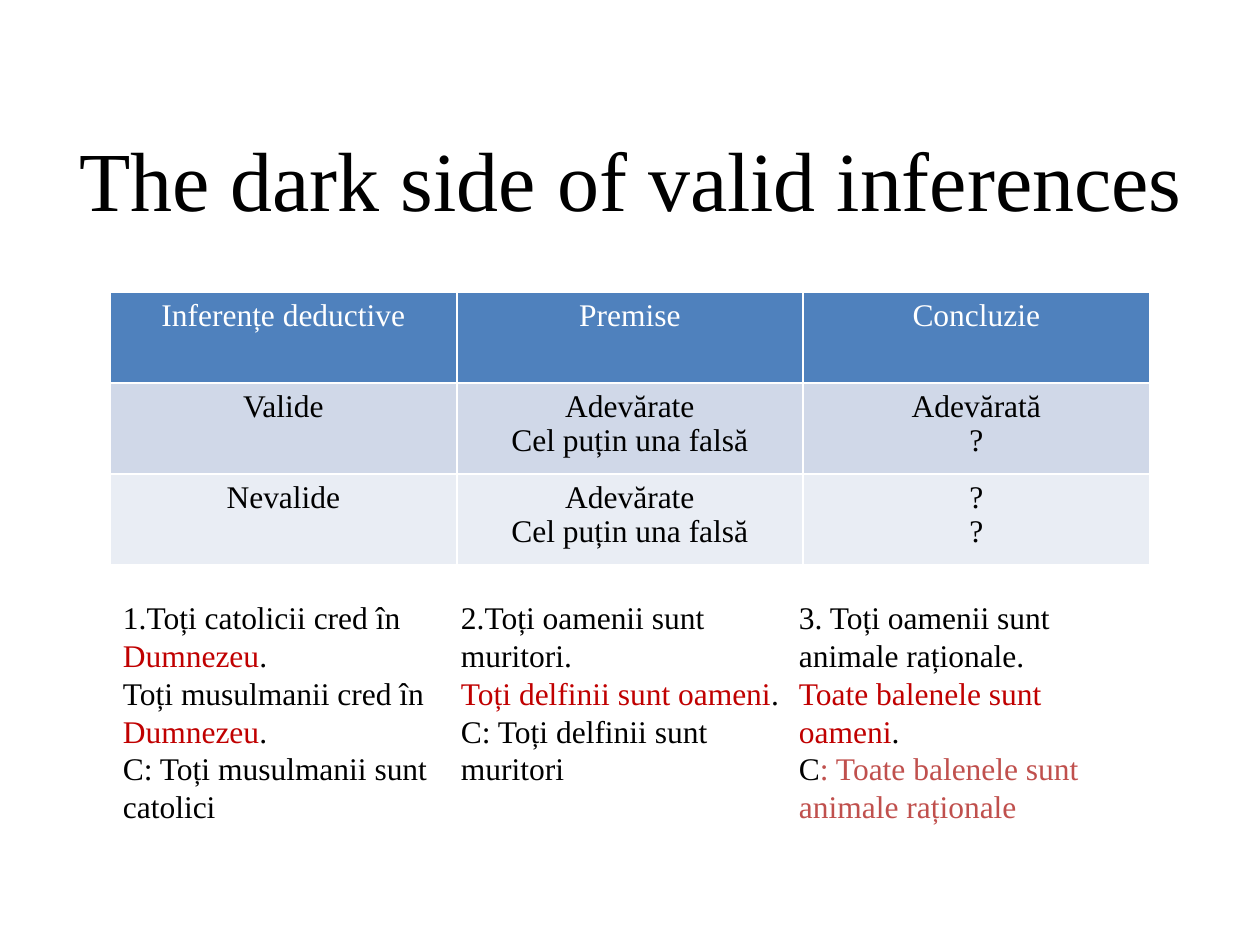
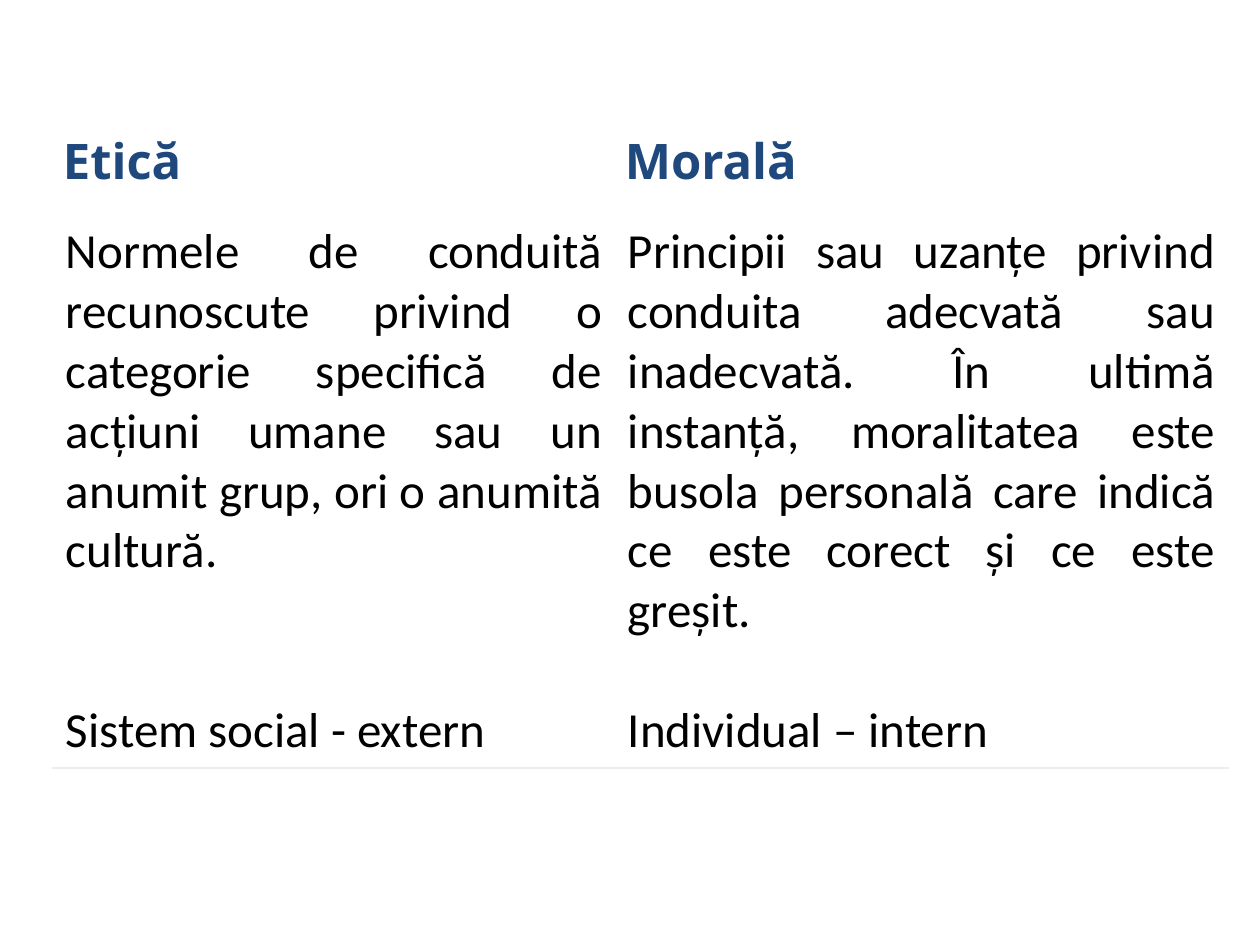
from lxml.etree import SubElement
from pptx import Presentation
from pptx.dml.color import RGBColor
from pptx.enum.text import MSO_ANCHOR, MSO_AUTO_SIZE, PP_ALIGN
from pptx.oxml.ns import qn
from pptx.util import Emu, Pt

# Shared scale, fonts and colours
EMU_PER_PX = 914400 // 126
SERIF, SANS, HEADING = "Times New Roman", "Calibri", "Noto Sans"
BLACK = RGBColor(0x00, 0x00, 0x00)
WHITE = RGBColor(0xFF, 0xFF, 0xFF)
BLUE = RGBColor(0x4F, 0x81, 0xBD)
LIGHT_BLUE = RGBColor(0xD0, 0xD8, 0xE8)
PALE_BLUE = RGBColor(0xE9, 0xED, 0xF4)
NAVY = RGBColor(0x1F, 0x49, 0x7D)
RED = RGBColor(0xC0, 0x00, 0x00)
SOFT_RED = RGBColor(0xC0, 0x50, 0x4D)
GREY = RGBColor(0xED, 0xED, 0xED)

# Slide 1 content
TRUTH_ROWS = [
    ("Inferențe deductive", "Premise", "Concluzie"),
    ("Valide", "Adevărate\nCel puțin una falsă", "Adevărată\n?"),
    ("Nevalide", "Adevărate\nCel puțin una falsă", "?\n?"),
]
TRUTH_COLOURS = [(BLUE, WHITE), (LIGHT_BLUE, BLACK), (PALE_BLUE, BLACK)]
SYLLOGISMS = [
    [
        [("1.Toți catolicii cred în ", BLACK), ("Dumnezeu", RED), (".", BLACK)],
        [("Toți musulmanii cred în ", BLACK), ("Dumnezeu", RED), (".", BLACK)],
        [("C: Toți musulmanii sunt catolici", BLACK)],
    ],
    [
        [("2.Toți oamenii sunt muritori.", BLACK)],
        [("Toți delfinii sunt oameni", RED), (".", BLACK)],
        [("C: Toți delfinii sunt muritori", BLACK)],
    ],
    [
        [("3. Toți oamenii sunt animale raționale.", BLACK)],
        [("Toate balenele sunt oameni", RED), (".", BLACK)],
        [("C", BLACK), (": Toate balenele sunt animale raționale", SOFT_RED)],
    ],
]

# Slide 2 content: heading, definition, summary, lines skipped before the summary
CONCEPTS = [
    ("Etică",
     "Normele de conduită recunoscute privind o categorie specifică de acțiuni "
     "umane sau un anumit grup, ori o anumită cultură.",
     "Sistem social - extern", 2),
    ("Morală",
     "Principii sau uzanțe privind conduita adecvată sau inadecvată. În ultimă "
     "instanță, moralitatea este busola personală care indică ce este corect și "
     "ce este greșit.",
     "Individual – intern", 1),
]
CONCEPT_LINE = 34.2


def px(length):
    return Emu(length * EMU_PER_PX)


def style_run(run, font, size, colour, bold=False):
    run.font.name = font
    run.font.size = Pt(size)
    run.font.bold = bold
    run.font.color.rgb = colour


def add_title(slide, text):
    title = slide.shapes.title
    title.left, title.top, title.width, title.height = map(px, (19, 67, 1224, 222))
    frame = title.text_frame
    frame.text = text
    frame.auto_size = MSO_AUTO_SIZE.NONE
    frame.vertical_anchor = MSO_ANCHOR.MIDDLE
    frame.paragraphs[0].alignment = PP_ALIGN.CENTER
    style_run(frame.paragraphs[0].runs[0], SERIF, 48, BLACK)


def add_grid(slide, left, top, widths, heights):
    frame = slide.shapes.add_table(len(heights), len(widths), px(left), px(top),
                                   px(sum(widths)), px(sum(heights)))
    grid = frame.table
    grid.first_row = grid.horz_banding = False
    for column, width in zip(grid.columns, widths):
        column.width = px(width)
    for row, height in zip(grid.rows, heights):
        row.height = px(height)
    return grid


def set_borders(cell, sides, colour, points):
    """Draw the given sides of a cell; call before setting its fill."""
    properties = cell._tc.get_or_add_tcPr()
    for side in sides:
        line = SubElement(properties, qn(f"a:ln{side}"), w=str(Pt(points)))
        fill = SubElement(line, qn("a:solidFill"))
        SubElement(fill, qn("a:srgbClr"), val=str(colour))


def fill_cell(cell, text, margins, font, size, colour, align, bold=False, fill=None):
    cell.margin_left = cell.margin_right = px(margins[0])
    cell.margin_top, cell.margin_bottom = px(margins[1]), px(margins[2])
    if fill is None:
        cell.fill.background()
    else:
        cell.fill.solid()
        cell.fill.fore_color.rgb = fill
    cell.text_frame.text = text
    for paragraph in cell.text_frame.paragraphs:
        paragraph.alignment = align
        for run in paragraph.runs:
            style_run(run, font, size, colour, bold)


def add_syllogism(slide, left, statements):
    box = slide.shapes.add_textbox(px(left), px(592), px(338), px(240))
    frame = box.text_frame
    frame.word_wrap = True
    frame.margin_left = frame.margin_right = 0
    for index, statement in enumerate(statements):
        paragraph = frame.add_paragraph() if index else frame.paragraphs[0]
        for text, colour in statement:
            run = paragraph.add_run()
            run.text = text
            style_run(run, SERIF, 18, colour)


def build_inferences(slide):
    add_title(slide, "The dark side of valid inferences")
    truth = add_grid(slide, 110, 292, [347, 346, 347], [91] * 3)
    for r, (texts, (fill, colour)) in enumerate(zip(TRUTH_ROWS, TRUTH_COLOURS)):
        for c, text in enumerate(texts):
            cell = truth.cell(r, c)
            set_borders(cell, "LRTB", WHITE, 1)
            fill_cell(cell, text, (9, 6, 6), SERIF, 18, colour,
                      PP_ALIGN.CENTER, fill=fill)
    for column, statements in enumerate(SYLLOGISMS):
        add_syllogism(slide, 123 + 338 * column, statements)


def build_concepts(slide):
    concepts = add_grid(slide, 53, 126, [562, 613], [90, 552])
    for c, (heading, definition, summary, skipped) in enumerate(CONCEPTS):
        fill_cell(concepts.cell(0, c), heading, (10, 1, 26), HEADING, 28, NAVY,
                  PP_ALIGN.LEFT, bold=True)
        meaning = concepts.cell(1, c)
        set_borders(meaning, "B", GREY, 0.75)
        fill_cell(meaning, f"{definition}\n{summary}", (13, 6, 6), SANS, 28, BLACK,
                  PP_ALIGN.JUSTIFY)
        meaning.text_frame.paragraphs[1].space_before = Pt(CONCEPT_LINE * skipped)


def main():
    deck = Presentation()
    deck.slide_width, deck.slide_height = px(1260), px(945)
    title_only, blank = deck.slide_layouts[5], deck.slide_layouts[6]
    build_inferences(deck.slides.add_slide(title_only))
    build_concepts(deck.slides.add_slide(blank))
    deck.save("out.pptx")


if __name__ == "__main__":
    main()
